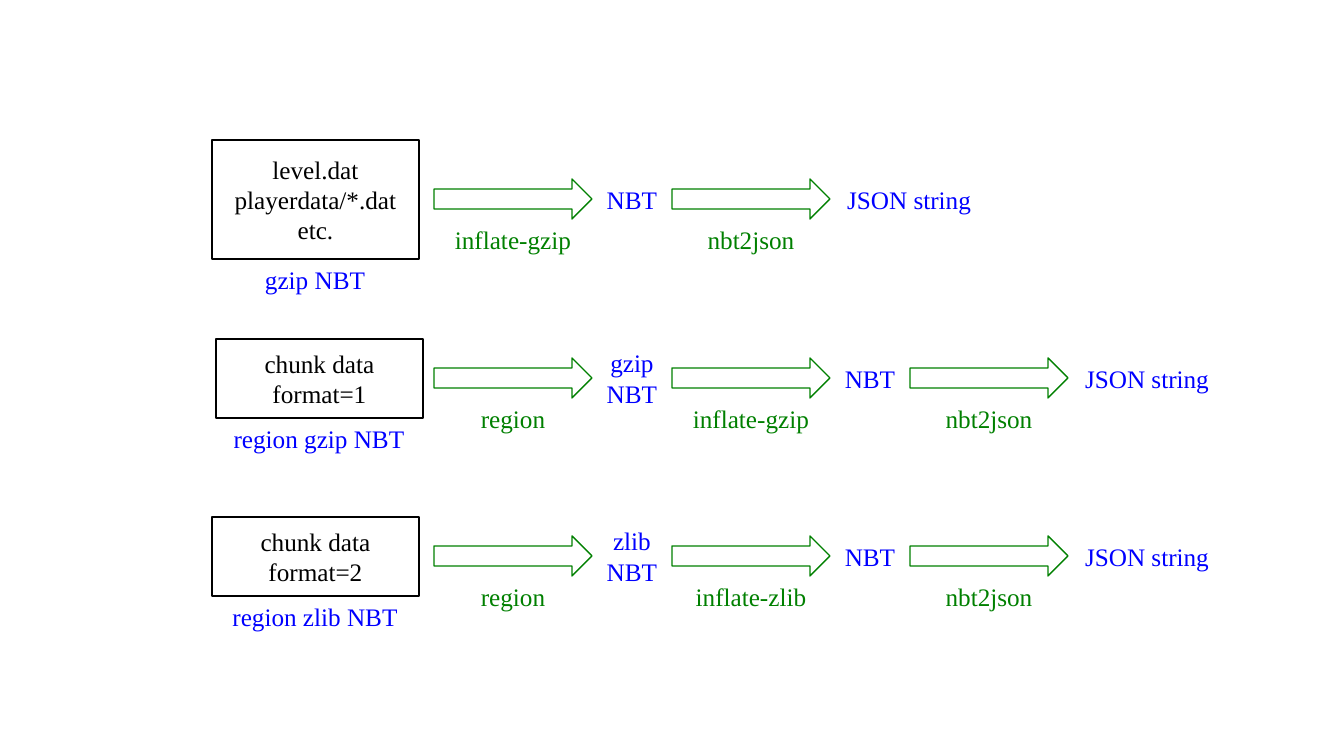
from dataclasses import dataclass

from pptx import Presentation
from pptx.dml.color import RGBColor
from pptx.enum.shapes import MSO_SHAPE
from pptx.enum.text import MSO_ANCHOR, PP_ALIGN
from pptx.util import Pt

EMU_PER_PIXEL = 914400 / 100.8


def emu(pixels):
    """Turn pixels into EMU."""
    return round(pixels * EMU_PER_PIXEL)


@dataclass(frozen=True)
class Theme:
    """Colours, font and sizes of the slide."""
    paper: RGBColor = RGBColor(255, 255, 255)
    source: RGBColor = RGBColor(0, 0, 0)
    data: RGBColor = RGBColor(0, 0, 255)
    step: RGBColor = RGBColor(0, 128, 0)
    font: str = "Times New Roman"
    text_size: int = 18
    line_width: int = 1


class FlowSlide:
    """Draw the parts of a conversion flow on one slide."""

    def __init__(self, slide, theme):
        """Keep the slide and its theme."""
        self.shapes = slide.shapes
        self.theme = theme

    def set_text(self, frame, text, color):
        """Set centred paragraphs, with soft breaks at vertical tabs."""
        frame.word_wrap = True
        frame.vertical_anchor = MSO_ANCHOR.MIDDLE
        for index, content in enumerate(text.split("\n")):
            paragraph = frame.add_paragraph() if index else frame.paragraphs[0]
            paragraph.alignment = PP_ALIGN.CENTER
            for part, words in enumerate(content.split("\v")):
                if part:
                    paragraph.add_line_break()
                run = paragraph.add_run()
                run.text = words
                run.font.name = self.theme.font
                run.font.size = Pt(self.theme.text_size)
                run.font.color.rgb = color

    def label(self, box, text, color):
        """Add a text label."""
        frame = self.shapes.add_textbox(*map(emu, box)).text_frame
        self.set_text(frame, text, color)

    def outline(self, preset, box, color):
        """Add a paper-filled preset shape with a coloured outline."""
        shape = self.shapes.add_shape(preset, *map(emu, box))
        shape.shadow.inherit = False
        shape.fill.solid()
        shape.fill.fore_color.rgb = self.theme.paper
        shape.line.color.rgb = color
        shape.line.width = Pt(self.theme.line_width)
        return shape

    def source(self, left, middle, text, caption):
        """Add a source box with its format caption below."""
        height = 39 + 40 * text.count("\n")
        top = middle - height // 2
        box = self.outline(MSO_SHAPE.RECTANGLE, (left, top, SOURCE_WIDTH, height), self.theme.source)
        self.set_text(box.text_frame, text, self.theme.source)
        caption_left = left + (SOURCE_WIDTH - STEP_PITCH) // 2
        self.label((caption_left, top + height, STEP_PITCH, LINE_HEIGHT), caption, self.theme.data)

    def step(self, left, middle, name):
        """Add a conversion arrow with its name below."""
        top = middle - LINE_HEIGHT // 2
        box = left, top, ARROW_WIDTH, LINE_HEIGHT
        self.outline(MSO_SHAPE.RIGHT_ARROW, box, self.theme.step)
        self.label((left, top + LINE_HEIGHT, ARROW_WIDTH, LINE_HEIGHT), name, self.theme.step)

    def result(self, left, middle, text, width):
        """Add the data that a step yields."""
        height = LINE_HEIGHT * (1 + text.count("\v"))
        self.label((left, middle - height // 2, width, height), text, self.theme.data)


SOURCE_WIDTH = 207
ARROW_WIDTH = 158
STEP_LEFT = 434
STEP_PITCH = 238
LINE_HEIGHT = 40

TO_JSON = ("nbt2json", "JSON string")
FLOWS = [
    (212, 199, "level.dat\nplayerdata/*.dat\netc.", "gzip NBT",
     [("inflate-gzip", "NBT"), TO_JSON]),
    (216, 378, "chunk data\nformat=1", "region gzip NBT",
     [("region", "gzip\vNBT"), ("inflate-gzip", "NBT"), TO_JSON]),
    (212, 556, "chunk data\nformat=2", "region zlib NBT",
     [("region", "zlib\vNBT"), ("inflate-zlib", "NBT"), TO_JSON]),
]

deck = Presentation()
deck.slide_width, deck.slide_height = emu(1344), emu(756)
flow_slide = FlowSlide(deck.slides.add_slide(deck.slide_layouts[6]), Theme())

for source_left, middle, source, caption, steps in FLOWS:
    flow_slide.source(source_left, middle, source, caption)
    for index, (name, result) in enumerate(steps):
        step_left = STEP_LEFT + index * STEP_PITCH
        is_last = index == len(steps) - 1
        result_width = ARROW_WIDTH if is_last else STEP_PITCH - ARROW_WIDTH
        flow_slide.step(step_left, middle, name)
        flow_slide.result(step_left + ARROW_WIDTH, middle, result, result_width)

deck.save("out.pptx")
